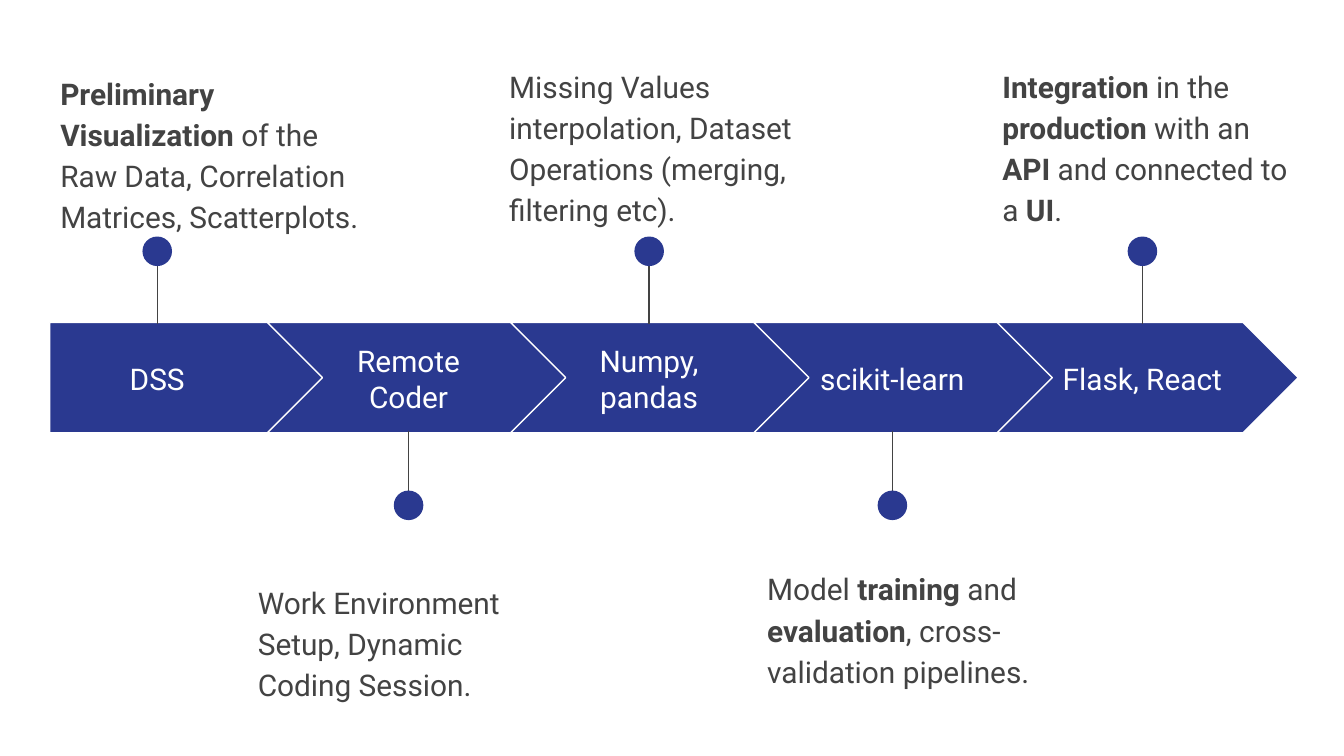
from lxml import etree
from pptx import Presentation
from pptx import util as u
from pptx.dml.color import RGBColor
from pptx.enum import shapes, text
from pptx.oxml.ns import qn

NAVY = RGBColor(0x2A, 0x39, 0x90)
GRAY = RGBColor(0x43, 0x43, 0x43)
WHITE = RGBColor(0xFF, 0xFF, 0xFF)

PX = u.Inches(1) // 100
BAND_TOP, BAND_HEIGHT = 240, 82
CHEVRON_LEFT, CHEVRON_WIDTH, CHEVRON_STEP = 199, 224, 181
LABEL_WIDTH, LABEL_HEIGHT = 144, 51
DOT, PIN_LENGTH = 22, 61
CAPTION_WIDTH = 245

# label, pin centre, pin direction (-1 up, 1 down), caption left, top, height,
# caption text with bold words between asterisks
STAGES = [
    ("DSS", 117, -1, 35, 42, 144,
     "*Preliminary Visualization* of the Raw Data, Correlation Matrices, "
     "Scatterplots."),
    ("Remote Coder", 304, 1, 182, 421, 99,
     "Work Environment Setup, Dynamic Coding Session."),
    ("Numpy, pandas", 483, -1, 369, 37, 99,
     "Missing Values interpolation, Dataset Operations (merging, "
     "filtering etc)."),
    ("scikit-learn", 664, 1, 561, 411, 99,
     "Model *training* and *evaluation*, cross-validation pipelines."),
    ("Flask, React", 850, -1, 736, 37, 99,
     "*Integration* in the *production* with an *API* and connected to "
     "a *UI*."),
]


def write(shape, content, color=GRAY, size=16, font="Roboto",
          align=text.PP_ALIGN.LEFT, anchor=text.MSO_ANCHOR.TOP,
          line_spacing=1.0, space_after=0):
    """Fill the shape with one paragraph; words between asterisks are bold."""
    frame = shape.text_frame
    frame.word_wrap = True
    frame.vertical_anchor = anchor
    frame.margin_left = frame.margin_right = 10 * PX
    frame.margin_top = frame.margin_bottom = 10 * PX
    paragraph = frame.paragraphs[0]
    paragraph.alignment = align
    paragraph.line_spacing = line_spacing
    paragraph.space_after = u.Pt(space_after)
    for index, part in enumerate(content.split("*")):
        if part:
            run = paragraph.add_run()
            run.text = part
            run.font.name = font
            run.font.size = u.Pt(size)
            run.font.color.rgb = color
            run.font.bold = index % 2 == 1


class Timeline:
    def __init__(self, slide):
        self.slide = slide

    def fill_shape(self, parent, kind, left, top, width, height, line=None):
        shape = parent.add_shape(
            kind, left * PX, top * PX, width * PX, height * PX)
        shape.shadow.inherit = False
        shape.fill.solid()
        shape.fill.fore_color.rgb = NAVY
        if line is None:
            shape.line.fill.background()
        else:
            shape.line.color.rgb = line
            shape.line.width = u.Pt(0.75)
        return shape

    def arrow(self, index):
        if index == 0:
            kind, left, width = shapes.MSO_SHAPE.PENTAGON, 37, 205
        else:
            kind, width = shapes.MSO_SHAPE.CHEVRON, CHEVRON_WIDTH
            left = CHEVRON_LEFT + (index - 1) * CHEVRON_STEP
        arrow = self.fill_shape(self.slide.shapes, kind, left, BAND_TOP,
                                width, BAND_HEIGHT, line=WHITE)
        arrow.adjustments[0] = 0.5

    def text_box(self, left, top, width, height, content, **style):
        box = self.slide.shapes.add_textbox(
            left * PX, top * PX, width * PX, height * PX)
        write(box, content, **style)

    def label(self, center, content):
        top = BAND_TOP + (BAND_HEIGHT - LABEL_HEIGHT + 1) // 2
        self.text_box(center - LABEL_WIDTH // 2, top, LABEL_WIDTH,
                      LABEL_HEIGHT, content, color=WHITE,
                      align=text.PP_ALIGN.CENTER,
                      anchor=text.MSO_ANCHOR.MIDDLE)

    def pin(self, center, direction):
        """Draw a line from the band's edge to a dot above or below it."""
        edge = BAND_TOP + 1 if direction < 0 else BAND_TOP + BAND_HEIGHT - 1
        tip = edge + direction * PIN_LENGTH
        dot_top = tip - 4 if direction < 0 else tip + 5 - DOT
        group = self.slide.shapes.add_group_shape().shapes
        line = group.add_connector(shapes.MSO_CONNECTOR.STRAIGHT,
                                   center * PX, tip * PX,
                                   center * PX, edge * PX)
        line.line.color.rgb = GRAY
        line.line.width = u.Pt(0.75)
        etree.SubElement(line._element.spPr, qn("a:effectLst"))
        self.fill_shape(group, shapes.MSO_SHAPE.OVAL, center - DOT // 2,
                        dot_top, DOT, DOT)

    def caption(self, left, top, height, content):
        self.text_box(left, top, CAPTION_WIDTH, height, content,
                      line_spacing=1.15, space_after=16)


def main():
    presentation = Presentation()
    presentation.slide_width = u.Inches(10)
    presentation.slide_height = presentation.slide_width * 9 // 16
    blank = presentation.slide_layouts[6]
    timeline = Timeline(presentation.slides.add_slide(blank))
    for index, stage in enumerate(STAGES):
        label, center, direction, left, top, height, caption = stage
        timeline.arrow(index)
        timeline.label(center, label)
        timeline.pin(center, direction)
        timeline.caption(left, top, height, caption)
    presentation.save("out.pptx")


if __name__ == "__main__":
    main()
